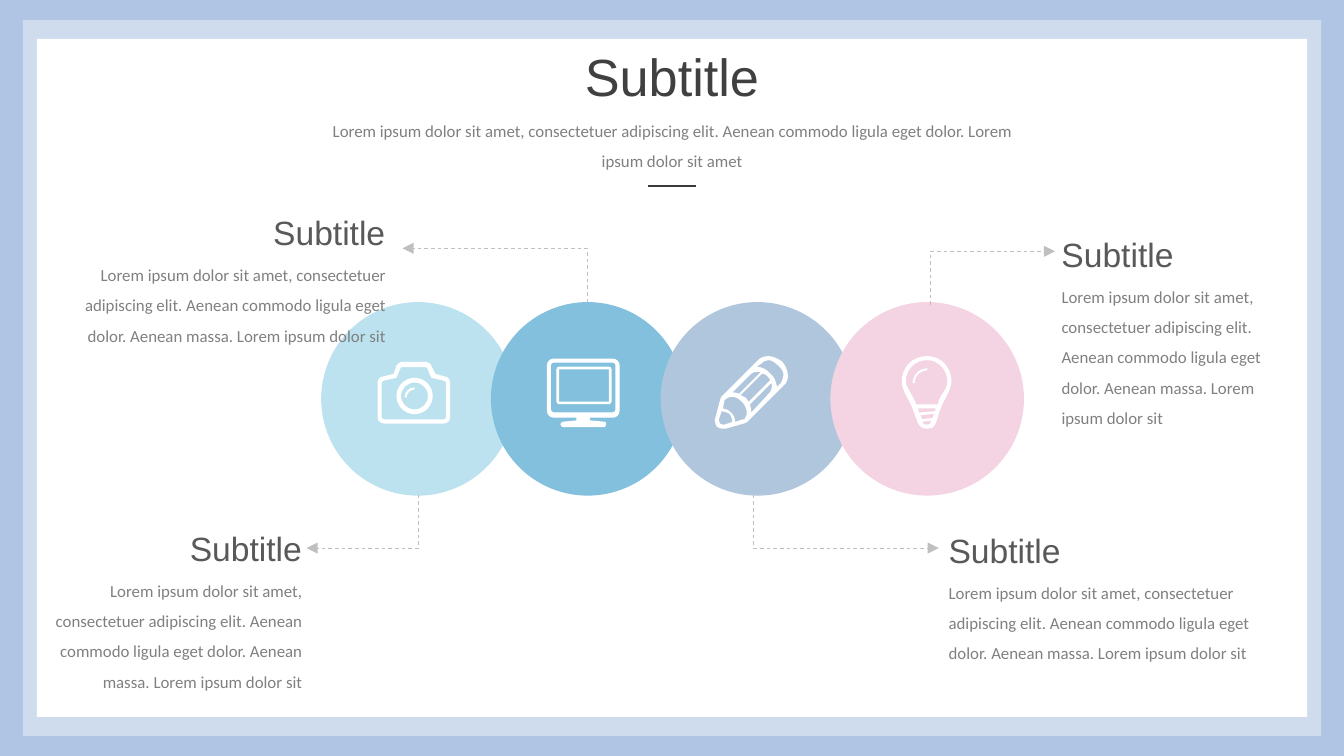
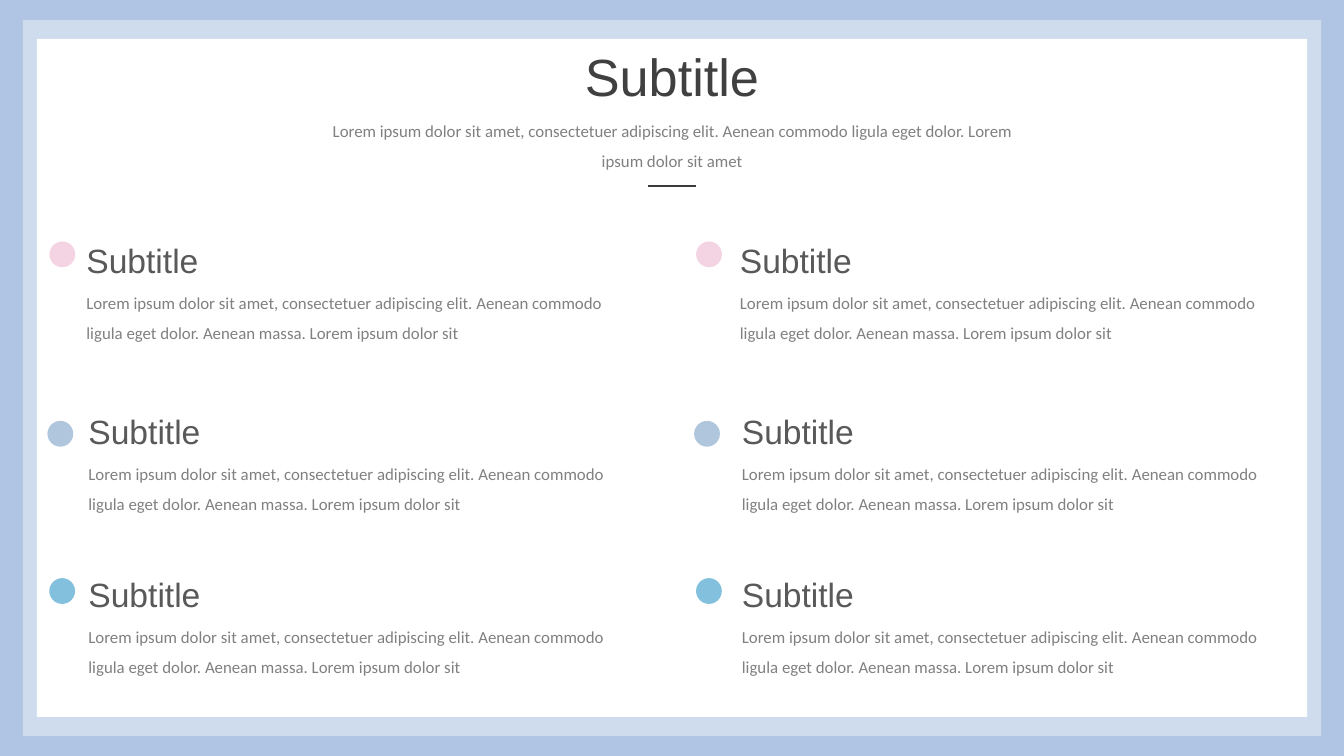
import pptx
import pptx.util
import pptx.dml.color
import pptx.enum.dml
import pptx.enum.shapes
import pptx.enum.text
import pptx.oxml
import pptx.oxml.ns

# The grid has 100 columns across the slide; rows have the same size
WIDE, HIGH = 100, 56.25
CELL = pptx.util.Inches(10) / WIDE

BACK, WHITE = "B0C5E3", "FFFFFF"
SKY, BLUE, STEEL, PINK = "BCE2EF", "83C0DD", "B0C6DD", "F4D4E3"
INK, HEAD, BODY, RULE, WIRE = "404040", "595959", "808080", "3B3B3B", "BFBFBF"

LEFT = pptx.enum.text.PP_ALIGN.LEFT
MID = pptx.enum.text.PP_ALIGN.CENTER
RIGHT = pptx.enum.text.PP_ALIGN.RIGHT
RECT = pptx.enum.shapes.MSO_SHAPE.RECTANGLE
OVAL = pptx.enum.shapes.MSO_SHAPE.OVAL

INTRO = ("Lorem ipsum dolor sit amet, consectetuer adipiscing elit. "
         "Aenean commodo ligula eget dolor. Lorem ipsum dolor sit amet")
LOREM = ("Lorem ipsum dolor sit amet, consectetuer adipiscing elit. "
         "Aenean commodo ligula eget dolor. Aenean massa. "
         "Lorem ipsum dolor sit")


def grid(*cells):
    return [round(n * CELL) for n in cells]


def tint(code):
    return pptx.dml.color.RGBColor.from_string(code)


def node(parent, tag, **attrs):
    child = parent.makeelement(pptx.oxml.ns.qn(tag), attrs)
    parent.append(child)
    return child


def paint(shape, color, alpha=None):
    shape.shadow.inherit = False
    shape.line.fill.background()
    shape.fill.solid()
    shape.fill.fore_color.rgb = tint(color)
    if alpha:
        fill = shape._element.spPr.find(pptx.oxml.ns.qn("a:solidFill"))
        node(fill[0], "a:alpha", val=str(alpha * 1000))


def block(slide, kind, x, y, w, h, color, alpha=None):
    paint(slide.shapes.add_shape(kind, *grid(x, y, w, h)), color, alpha)


def write(slide, text, x, y, w, h, size=9, font="Calibri", color=BODY,
          align=LEFT, space=1.5, wrap=True):
    frame = slide.shapes.add_textbox(*grid(x, y, w, h)).text_frame
    frame.word_wrap = wrap
    frame.auto_size = pptx.enum.text.MSO_AUTO_SIZE.SHAPE_TO_FIT_TEXT
    para = frame.paragraphs[0]
    para.alignment = align
    if space:
        para.line_spacing = space
    run = para.add_run()
    run.text = text
    run.font.size = pptx.util.Pt(size)
    run.font.name = font
    run.font.color.rgb = tint(color)


def entry(slide, x, y, w, lines, align=LEFT):
    """A small heading above its paragraph; y is the paragraph's top."""
    write(slide, LOREM, x, y, w, 0.8 + 2.27 * lines, align=align)
    left = x + w - 12.6 if align == RIGHT else x
    write(slide, "Subtitle", left, y - 3.75, 12.6, 4.6, size=18,
          font="Arial", color=HEAD, align=align, space=1.2)


def arrow(slide, *points):
    """A dashed elbow that ends in an arrowhead."""
    first, *rest = [grid(*p) for p in points]
    pen = slide.shapes.build_freeform(*first)
    pen.add_line_segments(rest, close=False)
    shape = pen.convert_to_shape()
    shape.shadow.inherit = False
    shape.fill.background()
    shape.line.color.rgb = tint(WIRE)
    shape.line.width = pptx.util.Pt(0.5)
    shape.line.dash_style = pptx.enum.dml.MSO_LINE.DASH
    node(shape.line._get_or_add_ln(), "a:tailEnd", type="triangle")


# Outlines: a pair is a corner, six numbers are a curve; tenths of a cell
def slab(x, y, w, h, r=0):
    """A rectangle, with rounded corners if r is given."""
    e, s, k = x + w, y + h, 0.45 * r
    if not r:
        return [(x, y), (e, y), (e, s), (x, s)]
    return [(x + r, y), (e - r, y), (e - k, y, e, y + k, e, y + r),
            (e, s - r), (e, s - k, e - k, s, e - r, s),
            (x + r, s), (x + k, s, x, s - k, x, s - r),
            (x, y + r), (x, y + k, x + k, y, x + r, y)]


def disc(x, y, r):
    k = 0.55 * r
    return [(x, y - r), (x + k, y - r, x + r, y - k, x + r, y),
            (x + r, y + k, x + k, y + r, x, y + r),
            (x - k, y + r, x - r, y + k, x - r, y),
            (x - r, y - k, x - k, y - r, x, y - r)]


def glint(x, y, r, t):
    """A thin quarter arc of reach r and thickness t."""
    e, s, k = x + r, y + r, r * 0.45
    return [(e, y), (x + k, y, x, y + k, x, s), (x + t, s),
            (x + t, y + k + t / 2, x + k + t / 2, y + t, e, y + t)]


CAMERA = [
    [disc(27.5, 25.5, 13.5), disc(27.5, 25.5, 10)],
    [glint(20, 19, 7.5, 1.7)],
    [[(50, 11), (43, 9), (40, 3), (40, 2, 38, 0, 36, 0), (19, 0),
      (16, 0, 15, 2, 14, 3), (12, 9), (4, 11), (2, 11, 0, 13, 0, 16),
      (0, 41), (0, 44, 2, 46, 5, 46), (49, 46), (52, 46, 54, 44, 54, 41),
      (54, 16), (54, 13, 52, 11, 50, 11)],
     [(51, 41), (51, 42, 50, 43, 49, 43), (5, 43), (4, 43, 3, 42, 3, 41),
      (3, 16), (3, 15, 4, 14, 5, 14), (14, 12), (17, 5),
      (17, 4, 18, 4, 19, 4), (36, 4), (36, 4, 37, 4, 37, 5), (40, 12),
      (49, 14), (50, 14, 51, 15, 51, 16)]],
]
SCREEN = [
    [slab(7, 6, 41, 28, 2), slab(9, 8, 37, 24)],
    [slab(0, 0, 54, 44, 5), slab(3, 3, 48, 37, 2),
     [(22, 44), (22, 46), (12, 47), (11, 47, 10, 48, 10, 49),
      (10, 50, 11, 51, 12, 51), (43, 51), (43, 51, 44, 50, 44, 49),
      (44, 48, 44, 47, 43, 47), (32, 46), (32, 44)]],
]
PENCIL = [[
    # Outer edge
    [(50, 4), (47, 2, 43, 0, 40, 0), (37, 0, 34, 1, 32, 3), (6, 29),
     (5, 30, 4, 31, 4, 32), (0, 47), (0, 48), (0, 52, 2, 54, 6, 54),
     (8, 54), (22, 50), (23, 50, 24, 49, 25, 48), (51, 22),
     (56, 18, 55, 10, 50, 4)],
    # Rubber, wood and tip
    [(49, 20), (46, 23), (46, 22), (45, 18, 44, 15, 41, 13),
     (39, 10, 35, 8, 31, 8), (34, 6), (36, 4, 38, 3, 40, 3),
     (42, 3, 45, 5, 47, 7), (49, 9, 51, 11, 51, 14),
     (51, 16, 50, 18, 49, 20)],
    [(15, 49), (15, 46, 14, 44, 12, 42), (10, 40, 8, 39, 6, 39), (7, 33),
     (8, 32), (11, 29, 17, 30, 20, 34), (24, 38, 25, 43, 22, 47), (21, 47)],
    [(7, 51), (6, 51), (4, 51, 3, 50, 3, 48), (3, 47), (5, 41),
     (7, 41, 9, 42, 11, 43), (12, 45, 13, 47, 13, 49)],
    # Three sides of the barrel
    [(18, 28), (16, 27, 14, 27, 13, 27), (26, 14), (28, 12, 31, 11, 34, 12)],
    [(25, 34), (24, 33, 24, 32, 23, 31), (22, 30, 20, 30, 19, 29), (35, 13),
     (37, 13, 38, 14, 39, 15), (40, 16, 41, 17, 41, 18)],
    [(27, 40), (27, 39, 26, 37, 26, 36), (42, 20), (43, 23, 42, 26, 40, 28),
     (27, 42)],
]]
BULB = [
    [[(19, 0), (8, 0, 0, 8, 0, 19), (0, 26, 6, 33, 8, 39),
      (12, 49, 12, 54, 19, 54), (26, 54, 25, 49, 29, 39),
      (31, 33, 37, 25, 37, 19), (37, 8, 29, 0, 19, 0)],
     [(27, 36), (11, 36), (10, 34, 9, 32, 8, 30), (6, 26, 3, 22, 3, 19),
      (3, 10, 10, 3, 19, 3), (27, 3, 34, 10, 34, 19),
      (34, 22, 32, 26, 29, 30), (28, 32, 27, 34, 27, 36)],
     [(19, 51), (17, 51, 16, 51, 15, 49), (22, 48), (21, 51, 21, 51, 19, 51)],
     [(13, 42), (12, 39), (25, 39), (25, 41)],
     [(23, 46), (15, 47), (14, 44), (24, 43)]],
    [glint(8, 9, 11, 1.5)],
]


def bend(shape, part):
    """Join the three points of each curve step into one real curve."""
    track = next(shape._element.iter(pptx.oxml.ns.qn("a:path")))
    legs = iter(list(track))
    for loop in part:
        for step in loop:
            leg = next(legs)
            if len(step) == 6:
                leg.tag = pptx.oxml.ns.qn("a:cubicBezTo")
                for _ in range(2):
                    more = next(legs)
                    leg.append(more[0])
                    track.remove(more)
        next(legs)  # the closing mark


def icon(slide, x, y, parts):
    """White outlines, grouped when there are several."""
    shapes = slide.shapes
    if len(parts) > 1:
        shapes = shapes.add_group_shape().shapes
    for part in parts:
        pen = None
        for loop in part:
            first, *rest = [grid(x + step[i] / 10, y + step[i + 1] / 10)
                            for step in loop for i in range(0, len(step), 2)]
            if pen is None:
                pen = shapes.build_freeform(*first)
            else:
                pen.move_to(*first)
            pen.add_line_segments(rest, close=True)
        shape = pen.convert_to_shape()
        bend(shape, part)
        paint(shape, WHITE)


def page(deck):
    """A framed slide with title, intro and short rule."""
    slide = deck.slides.add_slide(deck.slide_layouts[6])
    slide.background.fill.solid()
    slide.background.fill.fore_color.rgb = tint(BACK)
    block(slide, RECT, 1.7, 1.48, 96.6, 53.3, WHITE, alpha=40)
    block(slide, RECT, 2.75, 2.9, 94.5, 50.45, WHITE)
    write(slide, "Subtitle", 42.5, 2.8, 15, 5.7, size=28, font="Arial",
          color=INK, align=MID, space=None, wrap=False)
    write(slide, INTRO, 22.8, 7.74, 54.4, 5.3, align=MID)
    rule = slide.shapes.add_connector(
        pptx.enum.shapes.MSO_CONNECTOR.STRAIGHT,
        *grid(48.2, 13.84, 51.8, 13.84))
    rule.line.color.rgb = tint(RULE)
    rule.line.width = pptx.util.Pt(1.5)
    node(rule._element.spPr, "a:effectLst")
    return slide


def chain(deck):
    slide = page(deck)
    # Overlapping circles
    for i, color in enumerate((SKY, BLUE, STEEL, PINK)):
        block(slide, OVAL, 23.9 + 12.63 * i, 22.48, 14.4, 14.4, color)
    # Arrows to the texts
    arrow(slide, (31.15, 36.8), (31.15, 40.78), (22.8, 40.78))
    arrow(slide, (43.7, 22.5), (43.7, 18.48), (29.95, 18.48))
    arrow(slide, (69.25, 22.7), (69.25, 18.7), (78.5, 18.7))
    arrow(slide, (56.05, 36.8), (56.05, 40.78), (69.85, 40.78))
    # Texts
    entry(slide, 4.15, 18.45, 25.5, 3, RIGHT)
    entry(slide, 1.85, 41.95, 21.6, 4, RIGHT)
    entry(slide, 69.6, 42.1, 25.5, 3)
    entry(slide, 78, 20.08, 17.1, 5)
    # Icons
    icon(slide, 40.7, 26.68, SCREEN)
    icon(slide, 53.2, 26.5, PENCIL)
    icon(slide, 67.1, 26.5, BULB)
    icon(slide, 28.1, 26.92, CAMERA)


def board(deck):
    slide = page(deck)
    rows = [(5.45, 20.52, 3.68, 17.97, PINK),
            (5.6, 33.25, 3.53, 31.32, STEEL),
            (5.6, 45.4, 3.67, 43.02, BLUE)]
    for col in (0, 1):
        for left, top, dot, high, color in rows:
            entry(slide, left + 48.62 * col, top, 41.7, 2)
            block(slide, OVAL, dot + 48.12 * col, high, 1.92, 1.92, color)


def main():
    deck = pptx.Presentation()
    deck.slide_width, deck.slide_height = grid(WIDE, HIGH)
    chain(deck)
    board(deck)
    deck.save("out.pptx")


if __name__ == "__main__":
    main()
